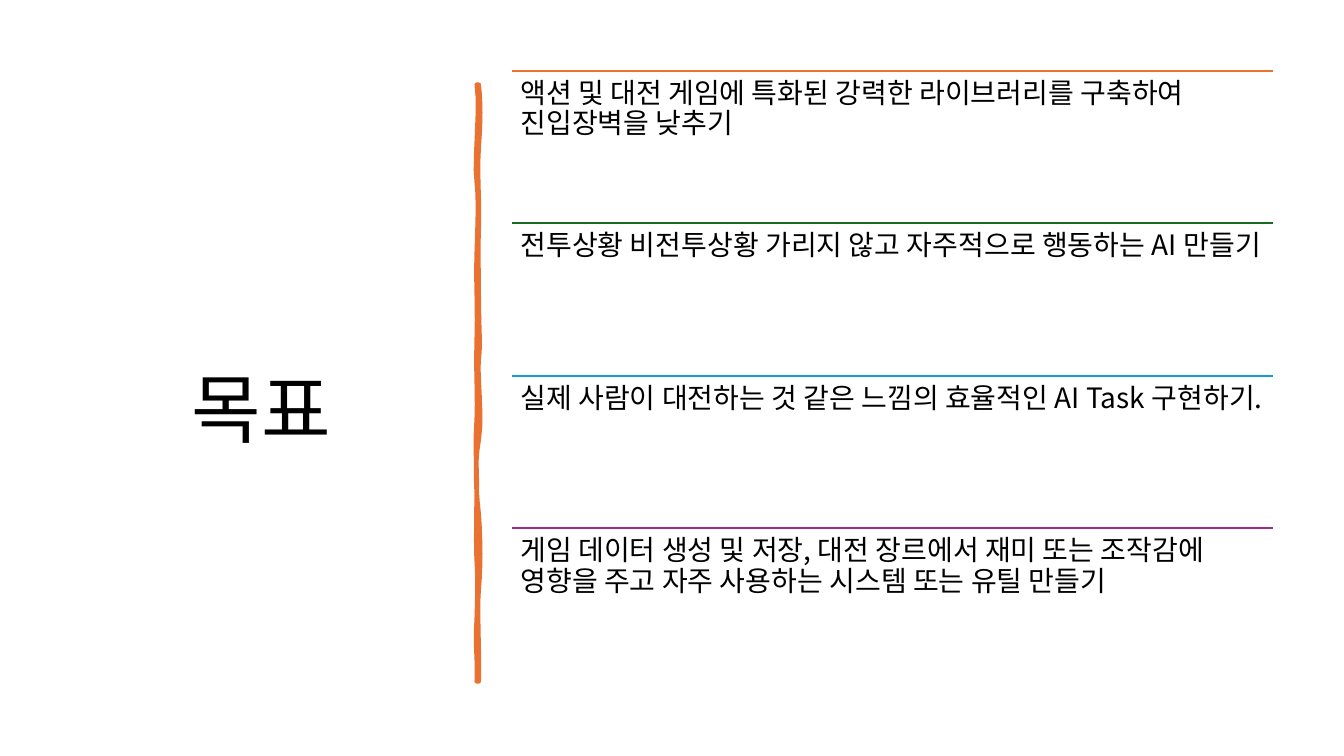
from lxml.etree import SubElement
from pptx import Presentation
from pptx.dml.color import RGBColor
from pptx.enum.shapes import MSO_CONNECTOR
from pptx.enum.text import MSO_ANCHOR, MSO_AUTO_SIZE, PP_ALIGN
from pptx.oxml.ns import qn
from pptx.util import Pt

FONT = "Noto Sans CJK KR"
BLACK = RGBColor(0x00, 0x00, 0x00)
ORANGE = RGBColor(0xE9, 0x71, 0x32)
GREEN = RGBColor(0x19, 0x6B, 0x24)
BLUE = RGBColor(0x0F, 0x9E, 0xD5)
PURPLE = RGBColor(0xA0, 0x2B, 0x93)

GOALS = [
    (ORANGE, "액션 및 대전 게임에 특화된 강력한 라이브러리를 구축하여 진입장벽을 낮추기"),
    (GREEN, "전투상황 비전투상황 가리지 않고 자주적으로 행동하는 AI 만들기"),
    (BLUE, "실제 사람이 대전하는 것 같은 느낌의 효율적인 AI Task 구현하기."),
    (PURPLE, "게임 데이터 생성 및 저장, 대전 장르에서 재미 또는 조작감에 영향을 주고 "
             "자주 사용하는 시스템 또는 유틸 만들기"),
]
TOP, PITCH = 50.4, 109
GOAL_LEFT, GOAL_WIDTH = 365.8, 543.6

# Hand-drawn bar: the outline is a chain of cubic curves, three points each
BAR_START = (342, 60.5)
BAR_CURVES = [
    (343.4, 73.4), (343.4, 85.7), (342, 105.1), (340.6, 124.6), (342.7, 140.4), (342, 162.7),
    (341.3, 185), (342, 188.6), (342, 211.7), (342, 234), (343.4, 246.2), (342, 256.3),
    (340.6, 266.4), (344.9, 298.1), (342, 313.9), (339.1, 329), (339.8, 348.5), (342, 367.2),
    (343.4, 385.9), (343.4, 406.1), (342, 420.5), (340.6, 434.2), (342.7, 468), (342, 486.7),
    (341.3, 486.7), (340.6, 486.7), (340.6, 486.7), (341.3, 465.1), (339.1, 463.7), (340.6, 441.4),
    (341.3, 419.8), (341.3, 410.4), (340.6, 401), (339.8, 391.7), (340.6, 356.4), (340.6, 343.4),
    (340.6, 330.5), (339.1, 320.4), (340.6, 298.8), (341.3, 277.9), (339.8, 268.6), (340.6, 241.2),
    (341.3, 214.6), (339.8, 202.3), (340.6, 180), (341.3, 157), (342, 144), (340.6, 130.3),
    (338.4, 117.4), (343.4, 74.9), (340.6, 60.5),
]


def add_span(para, text, size):
    span = para.add_run()
    span.text = text
    span.font.size = Pt(size)
    span.font.name = FONT
    span.font.color.rgb = BLACK
    SubElement(span.font._element, qn("a:ea"), typeface=FONT)


def add_title(page, text):
    title = page.shapes.title
    title.left, title.top, title.width, title.height = Pt(31.7), Pt(TOP), Pt(309.6), Pt(437)
    frame = title.text_frame
    frame.auto_size = MSO_AUTO_SIZE.NONE
    frame.vertical_anchor = MSO_ANCHOR.MIDDLE
    frame.margin_top = Pt(56)
    para = frame.paragraphs[0]
    para.alignment = PP_ALIGN.CENTER
    para.line_spacing = 0.9
    add_span(para, text, 54)


def flatten(start, controls, steps=6):
    """Turn the chain of cubic curves into short straight segments."""
    points = []
    for i in range(0, len(controls), 3):
        a, b, c, d = start, *controls[i:i + 3]
        for step in range(1, steps + 1):
            t = step / steps
            u = 1 - t
            points.append(tuple(
                Pt(u**3 * a[k] + 3 * u * u * t * b[k] + 3 * u * t * t * c[k] + t**3 * d[k])
                for k in (0, 1)))
        start = d
    return points


def add_bar(page):
    x, y = BAR_START
    builder = page.shapes.build_freeform(Pt(x), Pt(y))
    builder.add_line_segments(flatten(BAR_START, BAR_CURVES), close=True)
    bar = builder.convert_to_shape()
    bar.shadow.inherit = False
    bar.fill.solid()
    bar.fill.fore_color.rgb = ORANGE
    bar.line.color.rgb = ORANGE
    bar.line.width = Pt(3.25)


def add_rule(page, top, color):
    rule = page.shapes.add_connector(
        MSO_CONNECTOR.STRAIGHT, Pt(GOAL_LEFT), Pt(top), Pt(GOAL_LEFT + GOAL_WIDTH), Pt(top))
    rule.line.color.rgb = color
    rule.line.width = Pt(1.5)
    SubElement(rule._element.spPr, qn("a:effectLst"))


def add_goal(page, top, text):
    box = page.shapes.add_textbox(Pt(GOAL_LEFT), Pt(top), Pt(GOAL_WIDTH), Pt(PITCH))
    frame = box.text_frame
    frame.word_wrap = True
    frame.margin_left = frame.margin_right = Pt(6)
    frame.margin_top = frame.margin_bottom = Pt(6)
    para = frame.paragraphs[0]
    para.line_spacing = 0.9
    para.space_after = Pt(7)
    add_span(para, text, 20)


def main():
    deck = Presentation()
    deck.slide_width, deck.slide_height = Pt(960), Pt(540)
    page = deck.slides.add_slide(deck.slide_layouts[5])

    # Title and divider
    add_title(page, "목표")
    add_bar(page)

    # Goals, each under its own coloured rule
    for row, (color, text) in enumerate(GOALS):
        top = TOP + row * PITCH
        add_rule(page, top, color)
        add_goal(page, top, text)

    deck.save("out.pptx")


if __name__ == "__main__":
    main()
